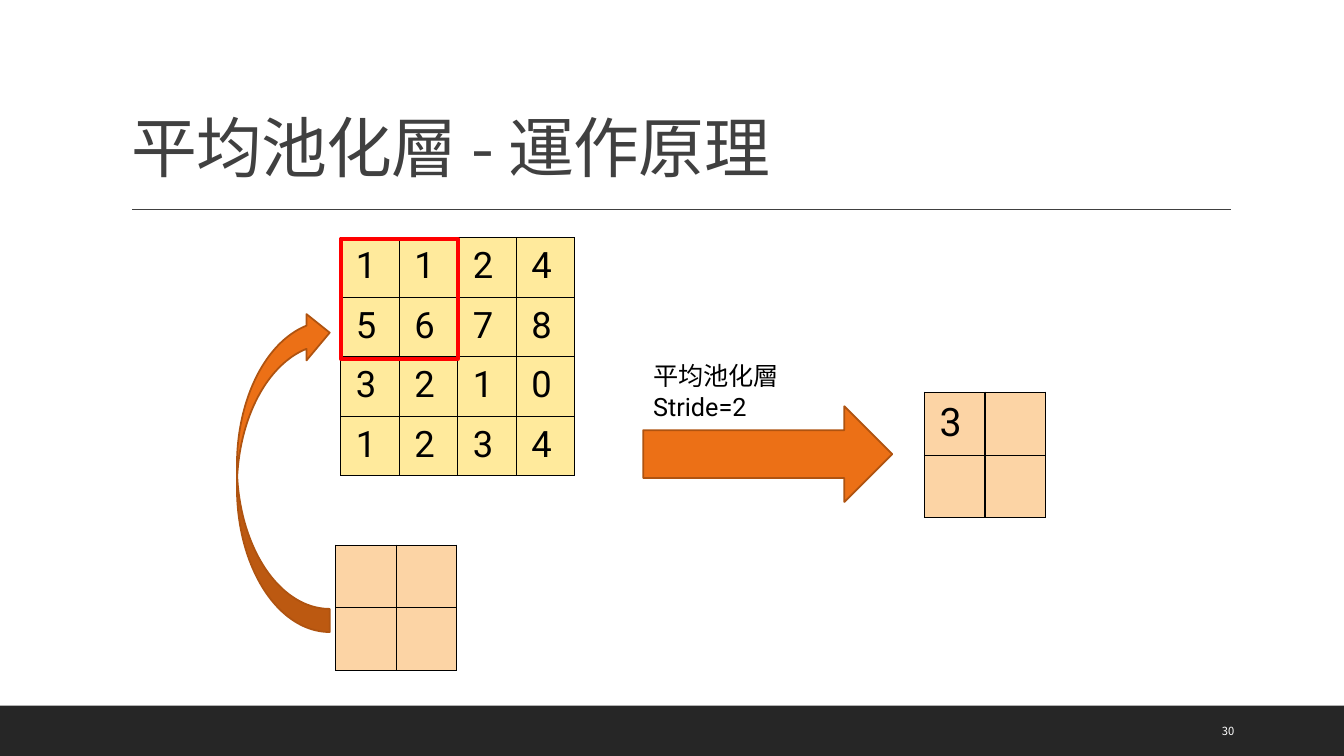
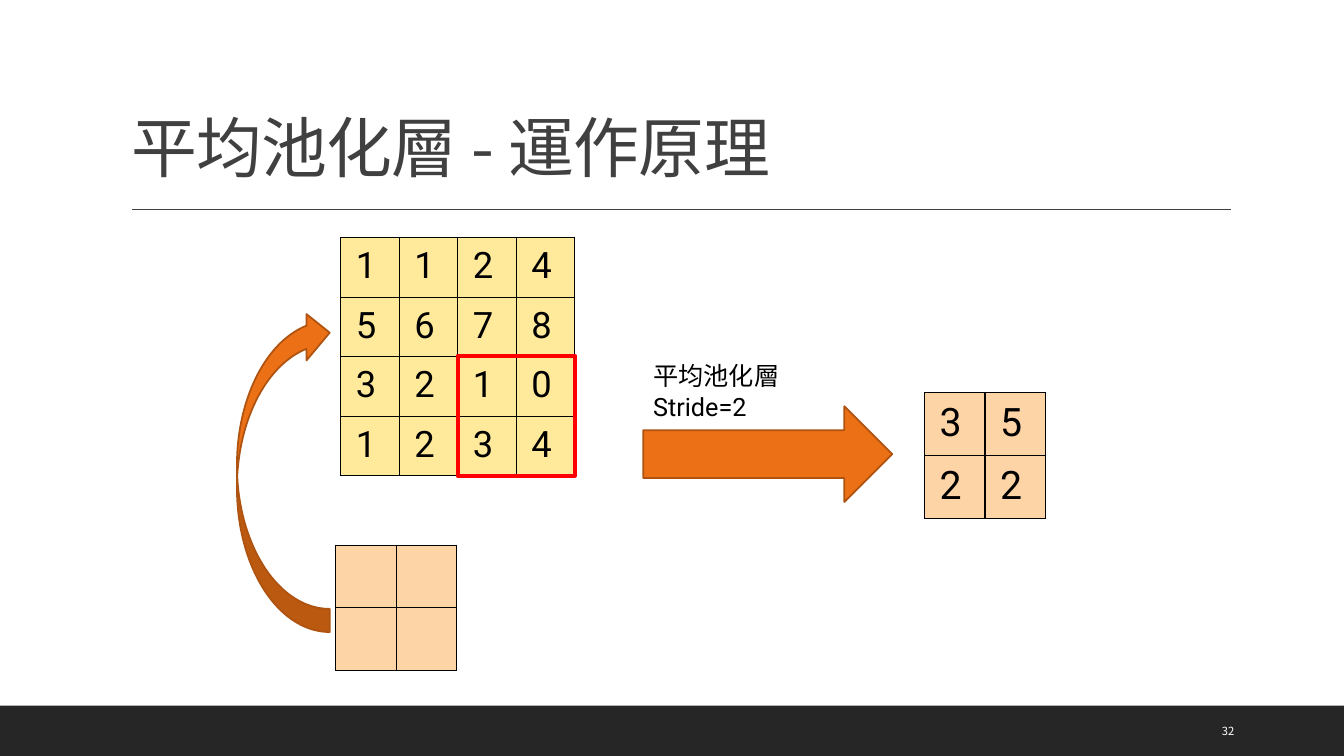
import pptx
import pptx.util
import pptx.dml.color
import pptx.enum.shapes
import pptx.enum.text
import pptx.oxml
import pptx.oxml.ns
from lxml import etree

Inches, Pt = pptx.util.Inches, pptx.util.Pt
RGB = pptx.dml.color.RGBColor
Shape = pptx.enum.shapes.MSO_SHAPE
Anchor = pptx.enum.text.MSO_ANCHOR
qn = pptx.oxml.ns.qn

BLACK, WHITE = RGB(0, 0, 0), RGB(255, 255, 255)
BAND, GRAY = RGB(0x26, 0x26, 0x26), RGB(0x40, 0x40, 0x40)
YELLOW, PEACH = RGB(0xFF, 0xEA, 0x9C), RGB(0xFC, 0xD4, 0xA5)
ORANGE, RUST, RED = RGB(0xEC, 0x70, 0x16), RGB(0xAF, 0x53, 0x10), RGB(255, 0, 0)
LATIN, HAN, HAN_TITLE = "Roboto", "Noto Sans CJK TC", "Noto Sans CJK SC"

TITLE = "平均池化層 - 運作原理"
LABEL = "平均池化層\nStride=2"
INPUT = ["1124", "5678", "3210", "1234"]
KERNEL = [["", ""], ["", ""]]

# window: column and row of the pooling step; width: label box
SLIDES = [
    {"page": "30", "window": (0, 0), "output": [["3", ""], ["", ""]], "width": 2.56},
    {"page": "32", "window": (1, 1), "output": ["35", "22"], "width": 1.82},
]
STEP = 1.16  # shift of the window for one stride


def box(*lengths):
    return [Inches(n) for n in lengths]


def style(frame, size, color, latin, han):
    for para in frame.paragraphs:
        for run in para.runs:
            font = run.font
            font.size, font.name, font.color.rgb = Pt(size), latin, color
            east = etree.SubElement(font._element, qn("a:ea"))
            east.set("typeface", han)


def add_shape(slide, kind, place, fill=None, line=None, weight=1.25):
    shape = slide.shapes.add_shape(kind, *box(*place))
    shape.shadow.inherit = False
    if fill is None:
        shape.fill.background()
    else:
        shape.fill.solid()
        shape.fill.fore_color.rgb = fill
    if line is None:
        shape.line.fill.background()
    else:
        shape.line.color.rgb = line
        shape.line.width = Pt(weight)
    return shape


def add_text(slide, text, place, size, color, latin, anchor=Anchor.TOP):
    frame = slide.shapes.add_textbox(*box(*place)).text_frame
    frame.word_wrap = True
    frame.vertical_anchor = anchor
    frame.text = text
    style(frame, size, color, latin, HAN)


def add_border(cell):
    props = cell._tc.get_or_add_tcPr()
    for side in ("lnL", "lnR", "lnT", "lnB"):
        props.append(pptx.oxml.parse_xml(
            f'<a:{side} xmlns:a="{pptx.oxml.ns.nsdecls("a").split(chr(34))[1]}" w="{Pt(1)}">'
            f'<a:solidFill><a:srgbClr val="{BLACK}"/></a:solidFill></a:{side}>'))


def add_grid(slide, rows, left, top, wide, high, fill, size, pad):
    count, across = len(rows), len(rows[0])
    frame = slide.shapes.add_table(
        count, across, *box(left, top, across * wide, count * high))
    table = frame.table
    table.first_row = table.horz_banding = False
    for col in table.columns:
        col.width = Inches(wide)
    for row, values in zip(table.rows, rows):
        row.height = Inches(high)
        for cell, value in zip(row.cells, values):
            cell.margin_left = cell.margin_right = Inches(0.15)
            cell.margin_top = cell.margin_bottom = Inches(pad)
            add_border(cell)
            cell.fill.solid()
            cell.fill.fore_color.rgb = fill
            cell.text = value
            style(cell.text_frame, size, BLACK, LATIN, HAN)


def set_master(deck, layout, slide):
    """Place the title on the layout; put the band and rule on the master."""
    title = layout.placeholders[0]
    title.left, title.top, title.width, title.height = box(1.2, 0.31, 11, 1.59)
    band = add_shape(slide, Shape.RECTANGLE, (0, 7, 13.33, 0.5), BAND)
    rule = slide.shapes.add_connector(
        pptx.enum.shapes.MSO_CONNECTOR.STRAIGHT, *box(1.31, 2.08, 12.21, 2.08))
    rule.line.color.rgb = GRAY
    rule.line.width = Pt(1)
    etree.SubElement(rule.element.spPr, qn("a:effectLst"))
    tree = deck.slide_master.shapes.element
    for place, part in enumerate((band, rule), 2):
        tree.insert(place, part.element)


def add_title(slide):
    frame = slide.shapes.title.text_frame
    frame.text = TITLE
    frame.vertical_anchor = Anchor.BOTTOM
    frame.word_wrap = True
    para = frame.paragraphs[0]
    para.alignment = pptx.enum.text.PP_ALIGN.LEFT
    para.line_spacing = 0.9
    style(frame, 47, GRAY, HAN_TITLE, HAN_TITLE)
    para.runs[0].font._element.set("spc", "-50")


def fill_slide(slide, data):
    add_title(slide)
    add_grid(slide, INPUT, 3.38, 2.36, 0.58, 0.59, YELLOW, 26, 0.07)
    add_text(slide, data["page"], (12.02, 7.05, 0.85, 0.4), 8, WHITE, HAN,
             Anchor.MIDDLE)
    add_grid(slide, KERNEL, 3.33, 5.41, 0.6, 0.62, PEACH, 28, 0.08)
    curve = add_shape(slide, Shape.CURVED_DOWN_ARROW, (1.21, 4.21, 3.2, 0.92),
                      ORANGE, RUST)
    curve.rotation = 270
    col, row = data["window"]
    add_shape(slide, Shape.RECTANGLE,
              (3.38 + col * STEP, 2.37 + row * STEP, 1.16, 1.19),
              line=RED, weight=3)
    add_shape(slide, Shape.RIGHT_ARROW, (6.38, 4.03, 2.47, 0.95), ORANGE, RUST)
    add_grid(slide, data["output"], 9.17, 3.89, 0.6, 0.62, PEACH, 28, 0.08)
    add_text(slide, LABEL, (6.38, 3.53, data["width"], 0.71), 18, BLACK, LATIN)


def main():
    deck = pptx.Presentation()
    deck.slide_width, deck.slide_height = box(13.33, 7.5)
    layout = deck.slide_layouts[5]
    slides = [deck.slides.add_slide(layout) for _ in SLIDES]
    set_master(deck, layout, slides[0])
    for slide, data in zip(slides, SLIDES):
        fill_slide(slide, data)
    deck.save("out.pptx")


if __name__ == "__main__":
    main()
